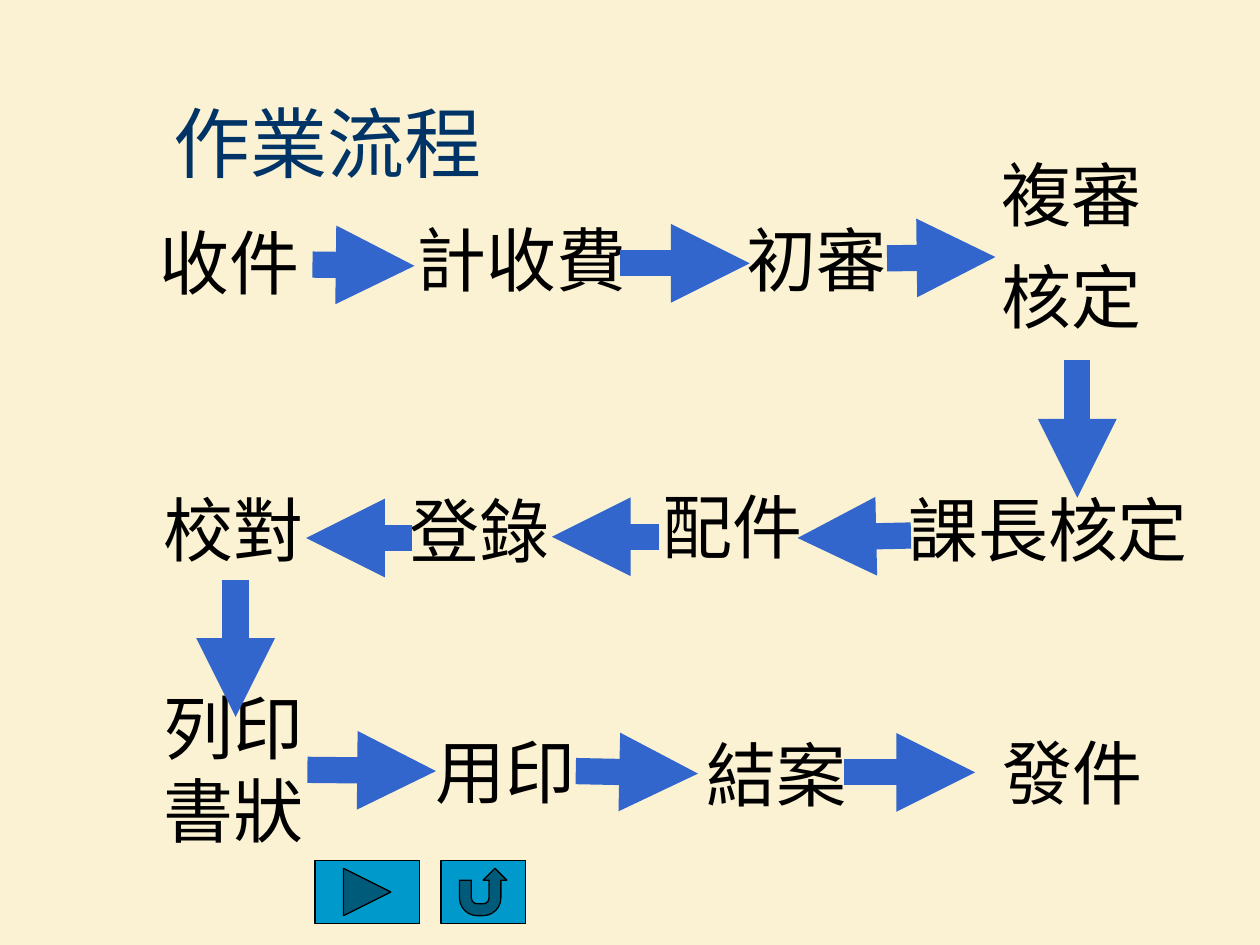
"""Build the case-handling workflow slide."""
import dataclasses

import lxml.etree
import pptx
import pptx.dml.color
import pptx.enum.shapes
import pptx.enum.text
import pptx.oxml.ns
import pptx.util


@dataclasses.dataclass(frozen=True)
class Theme:
    """Hold the colours, type and line sizes."""
    background: str = "FAF2D2"
    title: str = "003366"
    text: str = "000000"
    arrow: str = "3366CC"
    button: str = "0099CC"
    font: str = "Times New Roman"
    stamp_font: str = "Lato"
    title_size: int = 44
    step_size: int = 40
    arrow_width: float = 15
    button_line: float = 0.75


THEME = Theme()
WIDTH, HEIGHT = pptx.util.Inches(10), pptx.util.Inches(7.5)
COLUMNS, ROWS = 100, 75
STEP_HEIGHT = 7.7
TOP_ROW, MIDDLE_ROW, BOTTOM_ROW = 16.7, 38.1, 57.4

STEPS = [
    ("收件", 11.7, TOP_ROW + 0.2, 14.2, {}),
    ("計收費", 32.1, TOP_ROW, 20.7, {}),
    ("初審", 58.3, TOP_ROW, 16.5, {}),
    ("複審\n核定", 78.5, 12.8, 14.5, {"height": 15, "line_spacing": 0.8, "gap": 20}),
    ("課長核定", 71.1, MIDDLE_ROW, 26.6, {}),
    ("配件", 51.6, MIDDLE_ROW - 0.2, 16.2, {}),
    ("登錄", 31.5, MIDDLE_ROW + 0.1, 15.2, {}),
    ("校對", 12, MIDDLE_ROW, 21.9, {}),
    ("列印書狀", 12, 53.8, 16.7, {"height": 14.3}),
    ("用印", 33.6, BOTTOM_ROW - 0.1, 13.2, {"font": THEME.stamp_font}),
    ("結案", 55.1, BOTTOM_ROW + 0.2, 13.2, {"font": THEME.stamp_font}),
    ("發件", 78.6, BOTTOM_ROW, 14.4, {}),
]

ARROWS = [
    (24.8, 21, 32.9, 21.1),
    (49.2, 20.9, 59.5, 20.9),
    (70.4, 20.5, 79, 20.4),
    (85.5, 28.6, 85.5, 39.5),
    (72.3, 42.5, 63.3, 42.7),
    (52.3, 42.6, 43.8, 42.6),
    (32.7, 42.7, 24.3, 42.7),
    (18.7, 46, 18.7, 56.9),
    (24.4, 61.1, 34.6, 61.2),
    (45.7, 61.2, 55.4, 61.4),
    (67, 61.3, 77.4, 61.3),
]


def across(columns):
    """Turn grid columns into a length."""
    return round(WIDTH * columns / COLUMNS)


def down(rows):
    """Turn grid rows into a length."""
    return round(HEIGHT * rows / ROWS)


def colour(value):
    """Turn a hex value into a colour."""
    return pptx.dml.color.RGBColor.from_string(value)


def add_text(page, text, left, top, width, *, height=STEP_HEIGHT, size=THEME.step_size,
             font=THEME.font, ink=THEME.text, line_spacing=None, gap=0,
             anchor=pptx.enum.text.MSO_ANCHOR.TOP):
    """Add a text box with one paragraph for each line of text."""
    box = page.shapes.add_textbox(across(left), down(top), across(width), down(height))
    frame = box.text_frame
    frame.word_wrap = True
    frame.vertical_anchor = anchor
    for index, line in enumerate(text.split("\n")):
        para = frame.add_paragraph() if index else frame.paragraphs[0]
        para.line_spacing = line_spacing
        para.space_before = pptx.util.Pt(gap if index else 0)
        span = para.add_run()
        span.text = line
        span.font.name = font
        span.font.size = pptx.util.Pt(size)
        span.font.color.rgb = colour(ink)


def add_arrow(page, start_x, start_y, end_x, end_y):
    """Add a thick straight arrow between two grid points."""
    arrow = page.shapes.add_connector(
        pptx.enum.shapes.MSO_CONNECTOR.STRAIGHT,
        across(start_x), down(start_y), across(end_x), down(end_y))
    arrow.line.color.rgb = colour(THEME.arrow)
    arrow.line.width = pptx.util.Pt(THEME.arrow_width)
    name = pptx.oxml.ns.qn
    properties = arrow._element.spPr
    lxml.etree.SubElement(properties.find(name("a:ln")), name("a:tailEnd"), type="triangle")
    lxml.etree.SubElement(properties, name("a:effectLst"))


def add_button(page, kind, left, width):
    """Add a navigation button at the foot of the slide."""
    button = page.shapes.add_shape(kind, across(left), down(68.3), across(width), down(5))
    button.shadow.inherit = False
    button.fill.solid()
    button.fill.fore_color.rgb = colour(THEME.button)
    button.line.color.rgb = colour(THEME.text)
    button.line.width = pptx.util.Pt(THEME.button_line)


def main():
    """Build and save the deck."""
    deck = pptx.Presentation()
    deck.slide_width, deck.slide_height = WIDTH, HEIGHT
    page = deck.slides.add_slide(deck.slide_layouts[6])
    page.background.fill.solid()
    page.background.fill.fore_color.rgb = colour(THEME.background)

    add_text(page, "作業流程", 12.8, 5, 85, height=12.5, size=THEME.title_size,
             ink=THEME.title, anchor=pptx.enum.text.MSO_ANCHOR.MIDDLE)
    for text, left, top, width, options in STEPS:
        add_text(page, text, left, top, width, **options)
    for ends in ARROWS:
        add_arrow(page, *ends)
    kinds = pptx.enum.shapes.MSO_SHAPE
    add_button(page, kinds.ACTION_BUTTON_FORWARD_OR_NEXT, 25, 8.3)
    add_button(page, kinds.ACTION_BUTTON_RETURN, 35, 6.7)
    deck.save("out.pptx")


if __name__ == "__main__":
    main()
